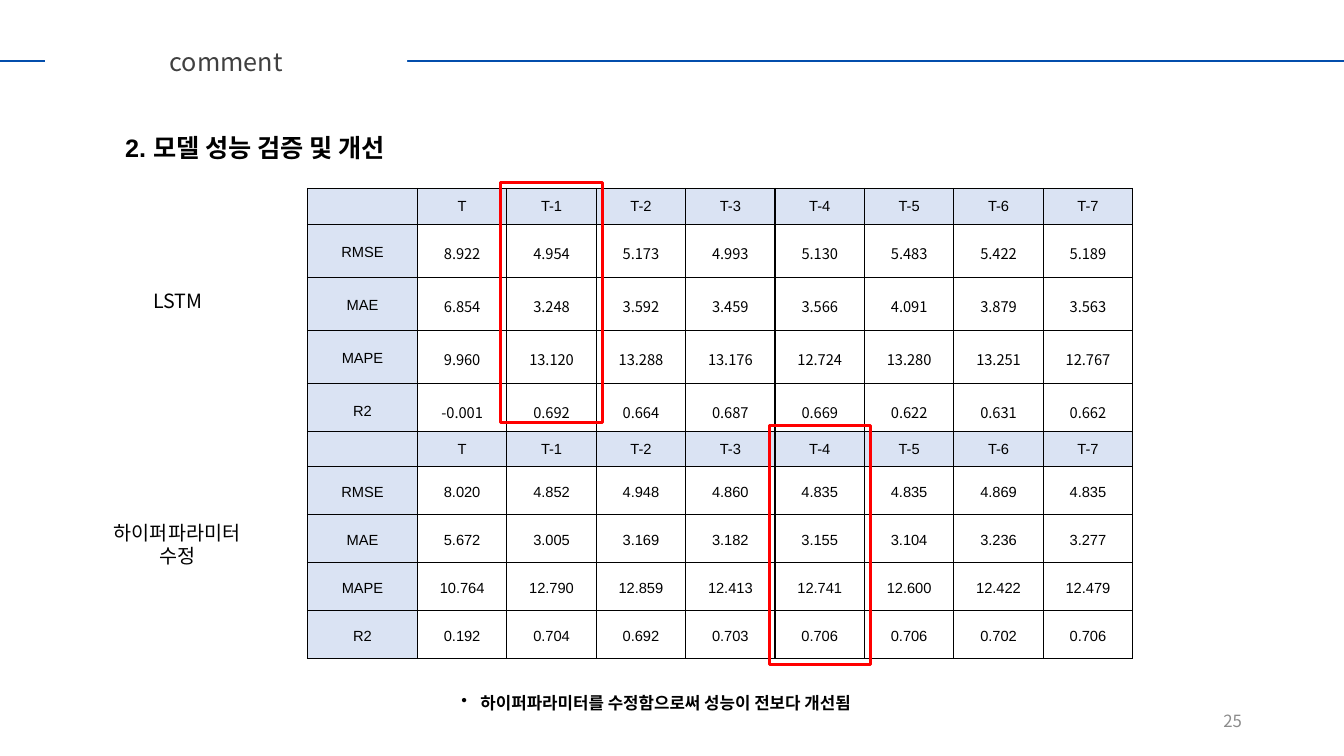
import dataclasses

import lxml.etree
import pptx
import pptx.dml.color
import pptx.enum.shapes
import pptx.enum.text
import pptx.oxml.ns
import pptx.shapes.autoshape
import pptx.slide
import pptx.table
import pptx.text.text
import pptx.util
from pptx.util import Cm

ARIAL = "Arial"
NOTO = "Noto Sans CJK KR"
BLACK = "000000"
HEADER_BLUE = "DAE3F3"

TABLE_LEFT, TABLE_WIDTH, LABEL_WIDTH = 7.75, 20.8, 2.77
METRIC_HEIGHT = 1.21
CELL_MARGIN = 0.36
HIGHLIGHT_MARGIN = 0.15
LAGS = ["T"] + [f"T-{lag}" for lag in range(1, 8)]
LAG_WIDTH = (TABLE_WIDTH - LABEL_WIDTH) / len(LAGS)

CENTER = pptx.enum.text.PP_ALIGN.CENTER
MIDDLE = pptx.enum.text.MSO_ANCHOR.MIDDLE
TOP = pptx.enum.text.MSO_ANCHOR.TOP


@dataclasses.dataclass
class Results:
    top: float
    header_height: float
    value_font: str
    best_lag: str
    scores: dict[str, str]

    @property
    def height(self) -> float:
        return self.header_height + METRIC_HEIGHT * len(self.scores)


@dataclasses.dataclass
class Caption:
    text: str
    box: tuple[float, float, float, float]
    size: float
    font: str = NOTO
    color: str = BLACK
    bold: bool = False
    align: pptx.enum.text.PP_ALIGN = CENTER
    anchor: pptx.enum.text.MSO_ANCHOR = TOP
    spacing: float = 1.0


LSTM = Results(4.75, 0.91, NOTO, "T-1", {
    "RMSE": "8.922 4.954 5.173 4.993 5.130 5.483 5.422 5.189",
    "MAE": "6.854 3.248 3.592 3.459 3.566 4.091 3.879 3.563",
    "MAPE": "9.960 13.120 13.288 13.176 12.724 13.280 13.251 12.767",
    "R2": "-0.001 0.692 0.664 0.687 0.669 0.622 0.631 0.662",
})
TUNED = Results(10.87, 0.89, ARIAL, "T-4", {
    "RMSE": "8.020 4.852 4.948 4.860 4.835 4.835 4.869 4.835",
    "MAE": "5.672 3.005 3.169 3.182 3.155 3.104 3.236 3.277",
    "MAPE": "10.764 12.790 12.859 12.413 12.741 12.600 12.422 12.479",
    "R2": "0.192 0.704 0.692 0.703 0.706 0.706 0.702 0.706",
})

LEFT, RIGHT = pptx.enum.text.PP_ALIGN.LEFT, pptx.enum.text.PP_ALIGN.RIGHT
HEADING = Caption("2. 모델 성능 검증 및 개선", (2.9, 2.44, 28.07, 1.55), 18, ARIAL,
                  bold=True, align=LEFT, spacing=2.0)
TAB = Caption("comment", (1.14, 1.04, 9.12, 1.02), 18, color="404040")
CONCLUSION = Caption("하이퍼파라미터를 수정함으로써 성능이 전보다 개선됨",
                     (10.11, 17.07, 13.64, 0.91), 12, ARIAL,
                     bold=True, align=LEFT, spacing=1.5)
LABELS = [
    Caption("LSTM", (2.9, 7.16, 3.18, 0.86), 14),
    Caption("하이퍼파라미터 수정", (2.46, 13, 4.01, 1.45), 14),
    Caption("25", (23.93, 17.65, 7.62, 1.02), 12, color="8C8C8C",
            align=RIGHT, anchor=MIDDLE),
]


def rgb(color: str) -> pptx.dml.color.RGBColor:
    return pptx.dml.color.RGBColor.from_string(color)


def style(paragraph: pptx.text.text._Paragraph, size: float, font: str,
          color: str = BLACK, bold: bool = False) -> None:
    paragraph.font.size = pptx.util.Pt(size)
    paragraph.font.name = font
    paragraph.font.bold = bold
    paragraph.font.color.rgb = rgb(color)


def write(shape: pptx.shapes.autoshape.Shape, caption: Caption) -> None:
    """Place the shape and fill it with the caption."""
    shape.left, shape.top, shape.width, shape.height = map(Cm, caption.box)
    frame = shape.text_frame
    frame.text = caption.text
    frame.word_wrap = True
    frame.auto_size = pptx.enum.text.MSO_AUTO_SIZE.NONE
    frame.vertical_anchor = caption.anchor
    paragraph = frame.paragraphs[0]
    paragraph.alignment = caption.align
    paragraph.line_spacing = caption.spacing
    style(paragraph, caption.size, caption.font, caption.color, caption.bold)


def add_rectangle(slide: pptx.slide.Slide, left: float, top: float,
                  width: float, height: float) -> pptx.shapes.autoshape.Shape:
    rectangle = slide.shapes.add_shape(
        pptx.enum.shapes.MSO_SHAPE.RECTANGLE, Cm(left), Cm(top), Cm(width), Cm(height))
    rectangle.shadow.inherit = False
    return rectangle


def add_rule(slide: pptx.slide.Slide, y: float, width: pptx.util.Length) -> None:
    rule = slide.shapes.add_connector(
        pptx.enum.shapes.MSO_CONNECTOR.STRAIGHT, 0, Cm(y), width, Cm(y))
    rule.line.color.rgb = rgb("034EAC")
    rule.line.width = pptx.util.Pt(1.25)
    lxml.etree.SubElement(rule._element.spPr, pptx.oxml.ns.qn("a:effectLst"))


def add_borders(cell: pptx.table._Cell) -> None:
    properties = cell._tc.get_or_add_tcPr()
    for position, side in enumerate(("lnL", "lnR", "lnT", "lnB")):
        properties.insert(position, pptx.oxml.parse_xml(
            f'<a:{side} {pptx.oxml.ns.nsdecls("a")} w="12700"><a:solidFill>'
            f'<a:srgbClr val="{BLACK}"/></a:solidFill></a:{side}>'))


def fill_cell(cell: pptx.table._Cell, text: str, font: str,
              is_label: bool, is_header: bool) -> None:
    cell.text = text
    cell.vertical_anchor = MIDDLE
    paragraph = cell.text_frame.paragraphs[0]
    paragraph.alignment = CENTER
    style(paragraph, 10.5, font)
    if not is_header:
        paragraph.line_spacing = 1.15
        cell.margin_left = cell.margin_right = Cm(CELL_MARGIN)
        cell.margin_top = cell.margin_bottom = Cm(CELL_MARGIN)
    if is_label or is_header:
        cell.fill.solid()
        cell.fill.fore_color.rgb = rgb(HEADER_BLUE)
    else:
        cell.fill.background()
    add_borders(cell)


def add_results(slide: pptx.slide.Slide, results: Results) -> None:
    rows = [["", *LAGS]]
    rows += [[metric, *scores.split()] for metric, scores in results.scores.items()]
    table = slide.shapes.add_table(
        len(rows), len(rows[0]), Cm(TABLE_LEFT), Cm(results.top),
        Cm(TABLE_WIDTH), Cm(results.height)).table
    for c, column in enumerate(table.columns):
        column.width = Cm(LAG_WIDTH if c else LABEL_WIDTH)
    for r, texts in enumerate(rows):
        table.rows[r].height = Cm(METRIC_HEIGHT if r else results.header_height)
        for c, text in enumerate(texts):
            font = results.value_font if r and c else ARIAL
            fill_cell(table.cell(r, c), text, font, is_label=c == 0, is_header=r == 0)


def add_highlight(slide: pptx.slide.Slide, results: Results) -> None:
    """Frame the column of the best lag."""
    left = TABLE_LEFT + LABEL_WIDTH + LAG_WIDTH * LAGS.index(results.best_lag)
    frame = add_rectangle(
        slide, left - HIGHLIGHT_MARGIN, results.top - HIGHLIGHT_MARGIN,
        LAG_WIDTH + 2 * HIGHLIGHT_MARGIN, results.height + 2 * HIGHLIGHT_MARGIN)
    frame.fill.background()
    frame.line.color.rgb = rgb("FF0000")
    frame.line.width = pptx.util.Pt(2.25)


def add_bullet(paragraph: pptx.text.text._Paragraph) -> None:
    properties = paragraph._p.get_or_add_pPr()
    properties.set("marL", str(Cm(1.75)))
    properties.set("indent", str(Cm(-0.48)))
    properties.find(pptx.oxml.ns.qn("a:defRPr")).addprevious(pptx.oxml.parse_xml(
        f'<a:buChar {pptx.oxml.ns.nsdecls("a")} char="•"/>'))


def main() -> None:
    deck = pptx.Presentation()
    deck.slide_width, deck.slide_height = Cm(33.87), Cm(19.05)
    slide = deck.slides.add_slide(deck.slide_layouts.get_by_name("Title Only"))
    write(slide.shapes.title, HEADING)
    add_rule(slide, 1.54, deck.slide_width)
    tab = add_rectangle(slide, *TAB.box)
    tab.fill.solid()
    tab.fill.fore_color.rgb = rgb("FFFFFF")
    tab.line.fill.background()
    write(tab, TAB)
    for results in (LSTM, TUNED):
        add_results(slide, results)
    for label in LABELS:
        write(slide.shapes.add_textbox(0, 0, 0, 0), label)
    conclusion = slide.shapes.add_textbox(0, 0, 0, 0)
    write(conclusion, CONCLUSION)
    add_bullet(conclusion.text_frame.paragraphs[0])
    for results in (LSTM, TUNED):
        add_highlight(slide, results)
    deck.save("out.pptx")


if __name__ == "__main__":
    main()
